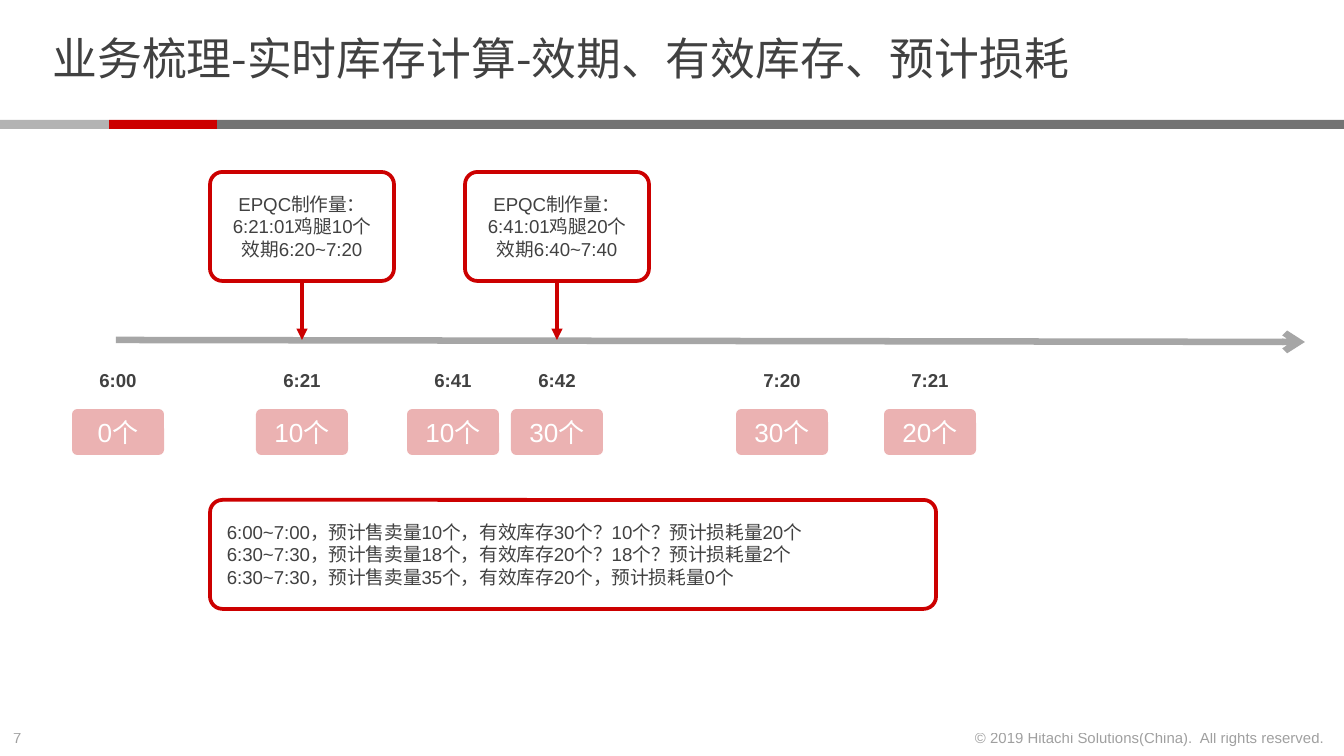
from typing import NamedTuple

from lxml import etree
from pptx import Presentation
from pptx import util as u
from pptx.dml.color import RGBColor
from pptx.enum import shapes, text
from pptx.oxml.ns import qn

SCALE = 914400 / 134.4  # EMU in one px
COLORS = {
    "ink": "414141", "white": "FFFFFF", "red": "CC0000", "chip": "C00000",
    "dark": "737373", "light": "B3B3B3", "axis": "A6A6A6",
}
LATIN, HAN = "Arial", "Noto Sans CJK SC"
LEFT, MID, RIGHT = text.PP_ALIGN.LEFT, text.PP_ALIGN.CENTER, text.PP_ALIGN.RIGHT
AXIS_Y = 340


class Box(NamedTuple):
    x: int
    y: int
    w: int
    h: int


class Stop(NamedTuple):
    mid: int
    time: str
    stock: str


class Batch(NamedTuple):
    mid: int
    lines: list[str]


class Bar(NamedTuple):
    box: Box
    color: str


BARS = [
    Bar(Box(217, 120, 1127, 9), "dark"),
    Bar(Box(109, 120, 108, 9), "red"),
    Bar(Box(0, 120, 109, 9), "light"),
]
STOPS = [
    Stop(118, "6:00", "0个"),
    Stop(302, "6:21", "10个"),
    Stop(453, "6:41", "10个"),
    Stop(557, "6:42", "30个"),
    Stop(782, "7:20", "30个"),
    Stop(930, "7:21", "20个"),
]
BATCHES = [
    Batch(302, ["EPQC制作量：6:21:01鸡腿10个", "效期6:20~7:20"]),
    Batch(557, ["EPQC制作量：6:41:01鸡腿20个", "效期6:40~7:40"]),
]
NOTES = [
    "6:00~7:00，预计售卖量10个，有效库存30个？10个？预计损耗量20个",
    "6:30~7:30，预计售卖量18个，有效库存20个？18个？预计损耗量2个",
    "6:30~7:30，预计售卖量35个，有效库存20个，预计损耗量0个",
]


def px(*vals: int) -> list[u.Emu]:
    return [u.Emu(round(v * SCALE)) for v in vals]


def rgb(name: str) -> RGBColor:
    return RGBColor.from_string(COLORS[name])


def fade(node, part: int) -> None:
    """Make every colour below node part percent opaque."""
    for tone in node.iter(qn("a:srgbClr")):
        etree.SubElement(tone, qn("a:alpha"), val=str(part * 1000))


def write(frame, lines: list[str], size: int, color: str = "ink", align=MID,
          bold: bool = False, wrap: bool = True, latin: str = LATIN) -> None:
    frame.word_wrap = wrap
    frame.vertical_anchor = text.MSO_ANCHOR.MIDDLE
    frame.text = "\n".join(lines)
    for para in frame.paragraphs:
        para.alignment = align
        font = para.font
        font.size, font.bold, font.name = u.Pt(size), bold, latin
        font.color.rgb = rgb(color)
        props = para._p.pPr.find(qn("a:defRPr"))
        props.find(qn("a:latin")).addnext(
            etree.Element(qn("a:ea"), typeface=HAN))


def label(slide, box: Box, line: str, size: int, **style):
    item = slide.shapes.add_textbox(*px(*box))
    write(item.text_frame, [line], size, **style)
    return item


def block(slide, box: Box, fill: str, line: str = "", round_by: float = 0):
    kind = shapes.MSO_SHAPE
    item = slide.shapes.add_shape(
        kind.ROUNDED_RECTANGLE if round_by else kind.RECTANGLE, *px(*box))
    item.shadow.inherit = False
    item.fill.solid()
    item.fill.fore_color.rgb = rgb(fill)
    if round_by:
        item.adjustments[0] = round_by
    if line:
        item.line.color.rgb, item.line.width = rgb(line), u.Pt(2)
    else:
        item.line.fill.background()
    return item


def arrow(slide, ends: tuple[int, int, int, int], color: str,
          width: float, head: str) -> None:
    item = slide.shapes.add_connector(
        shapes.MSO_CONNECTOR.STRAIGHT, *px(*ends))
    item.line.color.rgb, item.line.width = rgb(color), u.Pt(width)
    etree.SubElement(item.line._get_or_add_ln(), qn("a:tailEnd"), type=head)
    etree.SubElement(item._element.spPr, qn("a:effectLst"))


def panel(slide, box: Box, lines: list[str], align) -> None:
    item = block(slide, box, "white", "red", 0.114)
    write(item.text_frame, lines, 10, align=align)


def stop(slide, spot: Stop) -> None:
    chip = block(slide, Box(spot.mid - 46, 409, 92, 46), "chip",
                 round_by=0.114)
    fade(chip._element.spPr, 30)
    write(chip.text_frame, [spot.stock], 14, "white", wrap=False)
    label(slide, Box(spot.mid - 39, 362, 78, 36), spot.time, 10, bold=True)


def batch(slide, made: Batch) -> None:
    panel(slide, Box(made.mid - 92, 172, 184, 109), made.lines, MID)
    arrow(slide, (made.mid, 282, made.mid, AXIS_Y), "red", 2, "triangle")


def main() -> None:
    deck = Presentation()
    deck.slide_width, deck.slide_height = px(1344, 756)
    slide = deck.slides.add_slide(deck.slide_layouts[5])

    # Title
    title = slide.shapes.title
    title.left, title.top, title.width, title.height = px(39, 8, 1091, 108)
    frame = title.text_frame
    write(frame, ["业务梳理-实时库存计算-效期、有效库存、预计损耗"], 24,
          align=LEFT, latin=HAN)
    frame.auto_size = text.MSO_AUTO_SIZE.NONE
    frame.margin_top = frame.margin_bottom = 0
    frame.paragraphs[0].line_spacing = 0.85

    # Rule below the title
    for bar in BARS:
        block(slide, bar.box, bar.color)

    # Footer
    page = label(slide, Box(0, 722, 46, 32), "7", 8, align=LEFT, wrap=False)
    rights = label(slide, Box(956, 722, 382, 32),
                   "© 2019 Hitachi Solutions(China).  All rights reserved.",
                   8, align=RIGHT, wrap=False)
    for item in (page, rights):
        fade(item._element.txBody, 50)

    # Timeline
    arrow(slide, (116, AXIS_Y, 1305, AXIS_Y + 2), "axis", 3.5, "arrow")
    for spot in STOPS:
        stop(slide, spot)
    for made in BATCHES:
        batch(slide, made)

    # Forecast notes
    panel(slide, Box(210, 500, 726, 109), NOTES, LEFT)

    deck.save("out.pptx")


if __name__ == "__main__":
    main()
